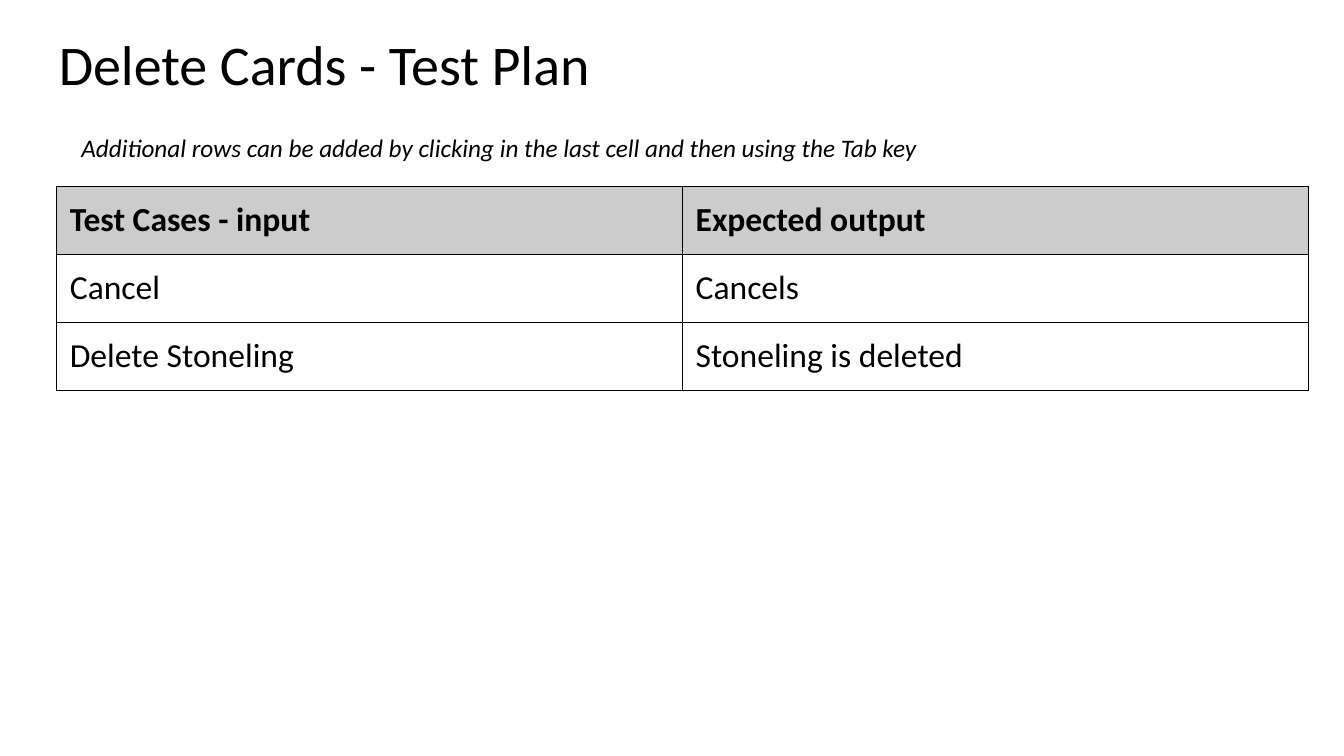
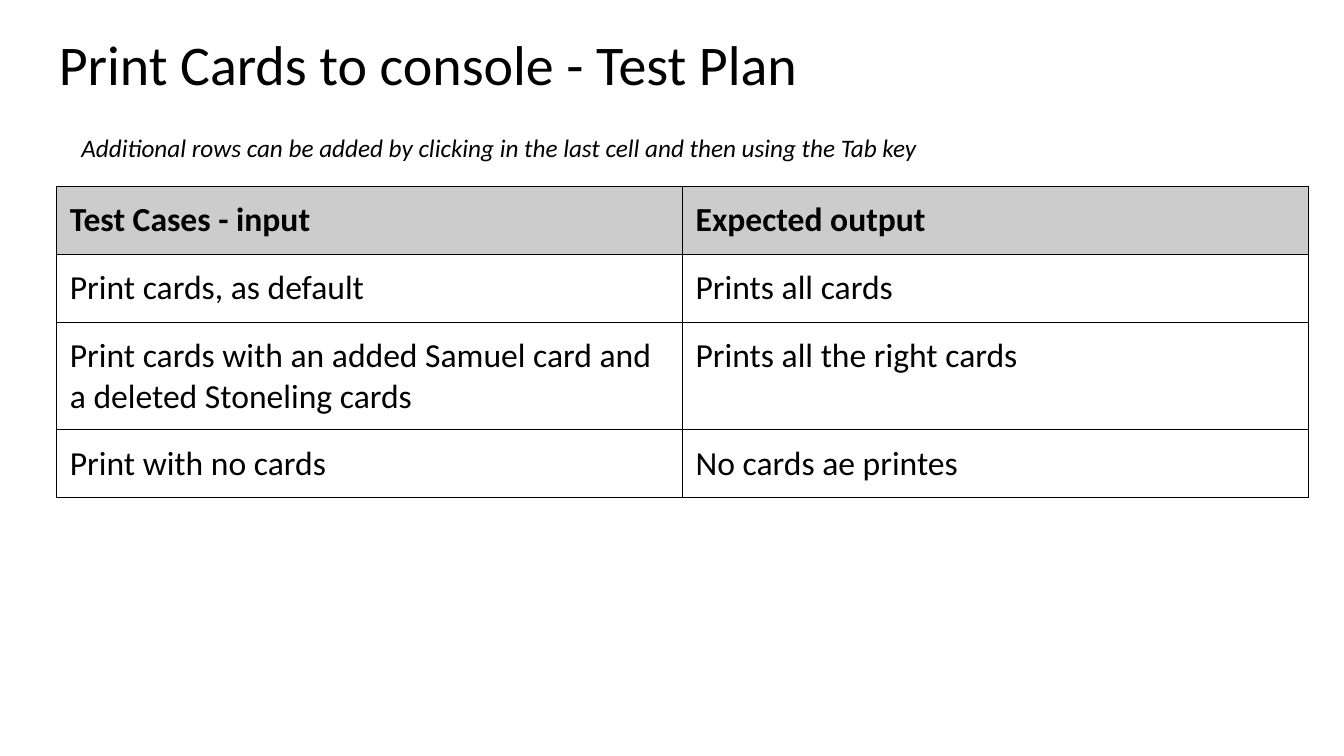
from dataclasses import dataclass

from lxml import etree
from pptx import Presentation
from pptx.dml.color import RGBColor
from pptx.enum.text import MSO_ANCHOR, MSO_AUTO_SIZE
from pptx.oxml.ns import qn
from pptx.util import Pt

TOP = MSO_ANCHOR.TOP
FIT_SHAPE = MSO_AUTO_SIZE.SHAPE_TO_FIT_TEXT
NO_FIT = MSO_AUTO_SIZE.NONE
BORDER_SIDES = ("a:lnL", "a:lnR", "a:lnT", "a:lnB")
MARGINS = ("margin_left", "margin_right", "margin_top", "margin_bottom")


@dataclass(frozen=True)
class Theme:
    font: str = "Calibri"
    ink: str = "000000"
    header_fill: str = "CCCCCC"
    title_size: float = 40
    table_size: float = 24
    note_size: float = 18
    inset: float = 9.6
    border: float = 0.75


THEME = Theme()
NOTE = "Additional rows can be added by clicking in the last cell and then using the Tab key"
HEADER = ("Test Cases - input", "Expected output")
TEST_PLANS = (
    ("Delete Cards - Test Plan", (
        ("Cancel", "Cancels"),
        ("Delete Stoneling", "Stoneling is deleted"),
    )),
    ("Print Cards to console - Test Plan", (
        ("Print cards, as default", "Prints all cards"),
        ("Print cards with an added Samuel card and a deleted Stoneling cards",
         "Prints all the right cards"),
        ("Print with no cards", "No cards ae printes"),
    )),
)


def set_attributes(target, values):
    for name, value in values.items():
        setattr(target, name, value)


class Deck:
    """Holds the style and the current slide."""

    def __init__(self, theme):
        self.theme = theme
        self.presentation = Presentation()
        set_attributes(self.presentation, {"slide_width": Pt(960), "slide_height": Pt(540)})
        self.slide = None

    def new_slide(self):
        self.slide = self.presentation.slides.add_slide(self.presentation.slide_layouts[6])

    def add_text(self, text_frame, text, size, **style):
        paragraph = text_frame.paragraphs[0]
        run = paragraph.add_run()
        run.text = text
        set_attributes(run.font, {"name": self.theme.font, "size": Pt(size), **style})
        run.font.color.rgb = RGBColor.from_string(self.theme.ink)
        return paragraph

    def inset(self, target):
        set_attributes(target, dict.fromkeys(MARGINS, Pt(self.theme.inset)))

    def text_box(self, left, top, width, height, auto_size):
        text_frame = self.slide.shapes.add_textbox(
            Pt(left), Pt(top), Pt(width), Pt(height)).text_frame
        set_attributes(text_frame, {
            "word_wrap": True, "auto_size": auto_size, "vertical_anchor": TOP})
        return text_frame

    def title(self, text):
        text_frame = self.text_box(32.4, 17.3, 894, 60.5, NO_FIT)
        self.inset(text_frame)
        self.add_text(text_frame, text, self.theme.title_size).line_spacing = 0.9

    def note(self, text):
        text_frame = self.text_box(51, 90.7, 788, 29, FIT_SHAPE)
        self.add_text(text_frame, text, self.theme.note_size, italic=True)

    def outline(self, cell):
        properties = cell._tc.get_or_add_tcPr()
        for position, side in enumerate(BORDER_SIDES):
            line = etree.Element(qn(side), w=str(Pt(self.theme.border)))
            fill = etree.SubElement(line, qn("a:solidFill"))
            etree.SubElement(fill, qn("a:srgbClr"), val=self.theme.ink)
            properties.insert(position, line)

    def table(self, rows, left=40.3, top=133.2, width=894, row_height=48.5):
        table = self.slide.shapes.add_table(
            len(rows), len(rows[0]), Pt(left), Pt(top),
            Pt(width), Pt(row_height * len(rows))).table
        set_attributes(table, {"first_row": True, "horz_banding": False})
        for row_index, row in enumerate(rows):
            is_header = row_index == 0
            for column_index, text in enumerate(row):
                cell = table.cell(row_index, column_index)
                self.inset(cell)
                self.add_text(cell.text_frame, text, self.theme.table_size, bold=is_header)
                if is_header:
                    cell.fill.solid()
                    cell.fill.fore_color.rgb = RGBColor.from_string(self.theme.header_fill)
                else:
                    cell.fill.background()
                self.outline(cell)


def main():
    deck = Deck(THEME)
    # One slide for each test plan
    for title, cases in TEST_PLANS:
        deck.new_slide()
        deck.title(title)
        deck.table((HEADER, *cases))
        deck.note(NOTE)
    deck.presentation.save("out.pptx")


if __name__ == "__main__":
    main()
